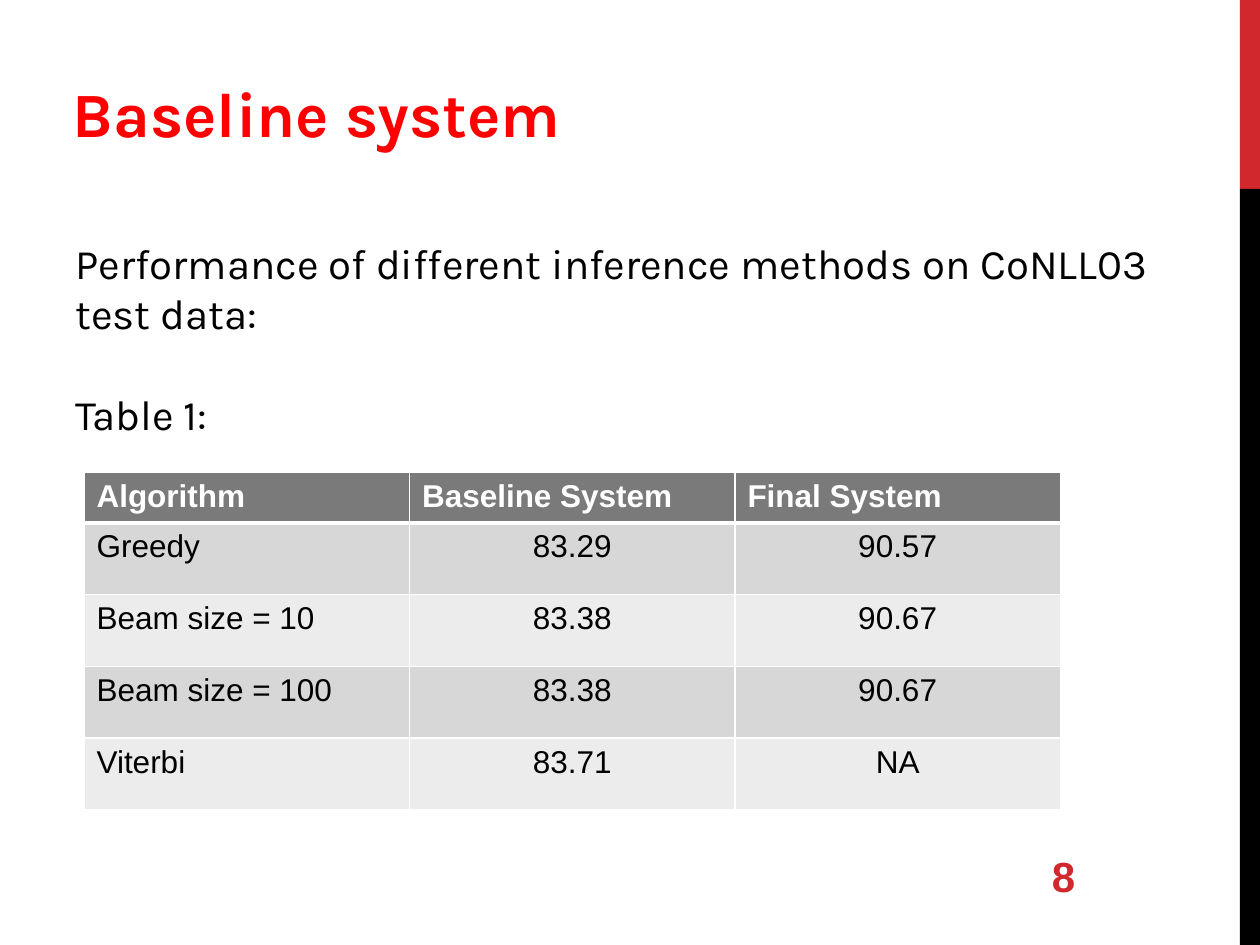
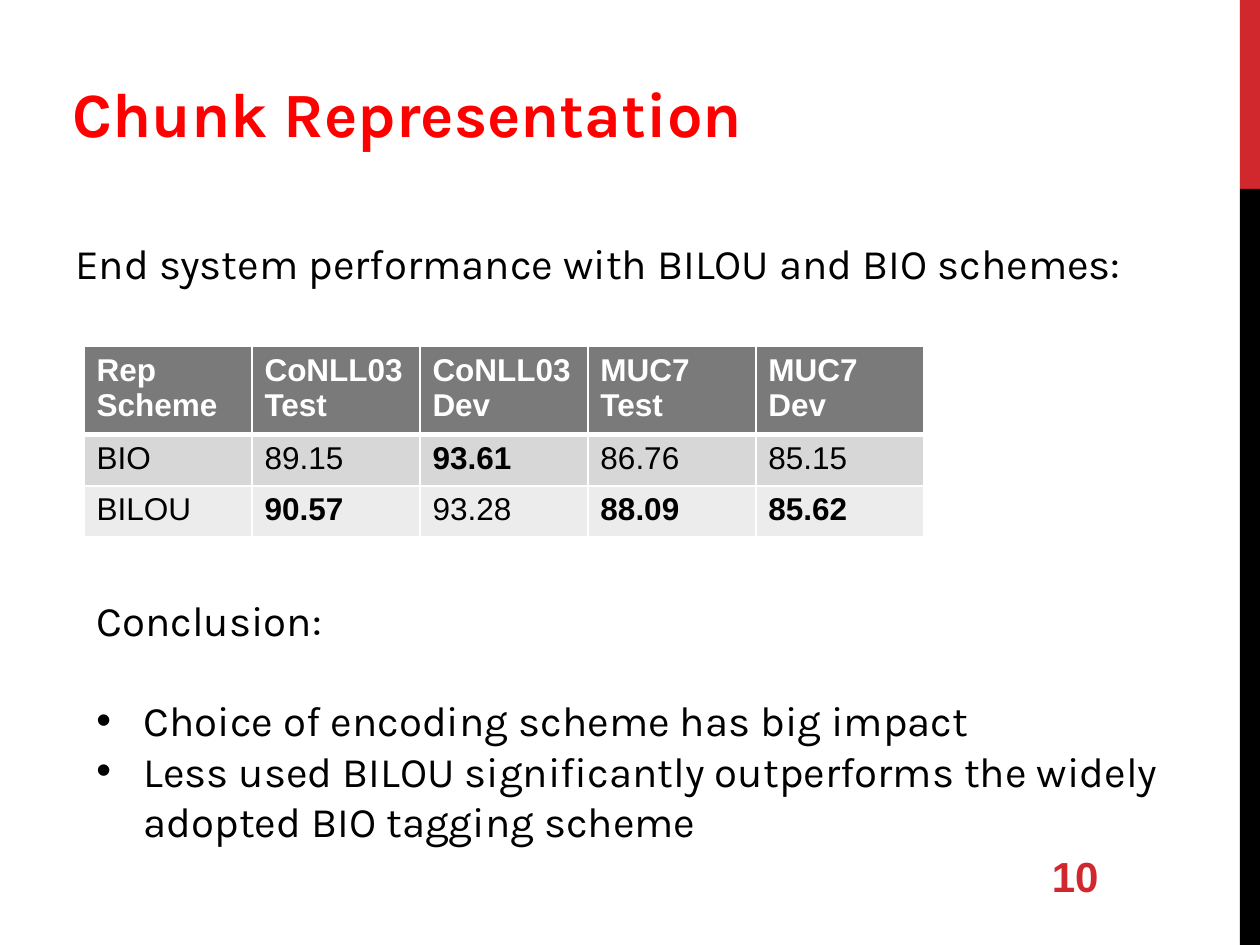
from dataclasses import dataclass
from lxml.etree import SubElement
from pptx import Presentation
from pptx.dml.color import RGBColor
from pptx.enum.shapes import MSO_SHAPE
from pptx.enum.text import MSO_ANCHOR, PP_ALIGN
from pptx.oxml.ns import qn
from pptx.util import Pt

# Content: each text box is (left, top, width, height, lines), and each
# line is (kind, text); "gap" lines stand one line below the previous one
SLIDES = [
    dict(
        title="Baseline system", number="8",
        texts=[(36, 132, 654, 181, [
            ("plain", "Performance of different inference methods on "
                      "CoNLL03 test data:"),
            ("gap", "Table 1:")])],
        table=dict(
            top=270, col=186, head=28, row=41, center=True, best=False,
            cells=[
                ("Algorithm", "Baseline System", "Final System"),
                ("Greedy", "83.29", "90.57"),
                ("Beam size = 10", "83.38", "90.67"),
                ("Beam size = 100", "83.38", "90.67"),
                ("Viterbi", "83.71", "NA")])),
    dict(
        title="Chunk Representation", number="10",
        texts=[
            (36, 132, 654, 36, [
                ("plain",
                 "End system performance with BILOU and BIO schemes:")]),
            (48, 336, 654, 153, [
                ("plain", "Conclusion:"),
                ("gap bullet", "Choice of encoding scheme has big impact"),
                ("bullet", "Less used BILOU significantly outperforms the "
                           "widely adopted BIO tagging scheme")])],
        table=dict(
            top=198, col=96, head=50, row=29.3, center=False, best=True,
            cells=[
                ("Rep Scheme", "CoNLL03 Test", "CoNLL03 Dev",
                 "MUC7 Test", "MUC7 Dev"),
                ("BIO", "89.15", "93.61", "86.76", "85.15"),
                ("BILOU", "90.57", "93.28", "88.09", "85.62")])),
]


@dataclass(frozen=True)
class Theme:
    title: str = "FF0000"
    accent: str = "D1282E"
    ink: str = "000000"
    paper: str = "FFFFFF"
    head: str = "7A7A7A"
    bands: tuple = ("D7D7D7", "ECECEC")
    text_font: str = "Karla"
    data_font: str = "Arial"
    title_size: int = 36
    body_size: int = 24
    cell_size: int = 18
    line: float = 28.6
    indent: int = 27


T = Theme()
WIDE, HIGH = 720, 540
BAND, SPLIT = 11.5, 108
LEFT = 48


def color(code):
    return RGBColor.from_string(code)


def write(para, text, size, font, ink, bold=False):
    run = para.add_run()
    run.text = text
    run.font.size = Pt(size)
    run.font.name = font
    run.font.bold = bold
    run.font.color.rgb = color(ink)


def add_box(slide, *place):
    frame = slide.shapes.add_textbox(*map(Pt, place)).text_frame
    frame.word_wrap = True
    return frame


def add_band(slide, top, height, fill):
    band = slide.shapes.add_shape(
        MSO_SHAPE.RECTANGLE, *map(Pt, (WIDE - BAND, top, BAND, height)))
    band.shadow.inherit = False
    band.fill.solid()
    band.fill.fore_color.rgb = color(fill)
    band.line.fill.background()


def add_bullet(para):
    props = para._p.get_or_add_pPr()
    props.set("marL", str(Pt(T.indent)))
    props.set("indent", str(-Pt(T.indent)))
    SubElement(props, qn("a:buFont"), typeface=T.data_font)
    SubElement(props, qn("a:buChar"), char="•")


def add_lines(slide, *place, lines):
    frame = add_box(slide, *place)
    for i, (kind, text) in enumerate(lines):
        para = frame.add_paragraph() if i else frame.paragraphs[0]
        if "gap" in kind:
            para.space_before = Pt(T.line)
        if "bullet" in kind:
            add_bullet(para)
        write(para, text, T.body_size, T.text_font, T.ink)


def add_edges(cell, row):
    # The rule under the header is thick; all other rules are thin
    props = cell._tc.get_or_add_tcPr()
    thick = {0: "lnB", 1: "lnT"}.get(row)
    for side in ("lnL", "lnR", "lnT", "lnB"):
        width = 3 if side == thick else 1
        edge = SubElement(props, qn("a:" + side), w=str(Pt(width)))
        fill = SubElement(edge, qn("a:solidFill"))
        SubElement(fill, qn("a:srgbClr"), val=T.paper)


def add_grid(slide, top, col, head, row, center, best, cells):
    rows, cols = len(cells), len(cells[0])
    high = head + row * (rows - 1)
    grid = slide.shapes.add_table(
        rows, cols, *map(Pt, (LEFT, top, col * cols, high))).table
    grid.horz_banding = False
    for part in grid.columns:
        part.width = Pt(col)
    for r, values in enumerate(cells):
        grid.rows[r].height = Pt(row if r else head)
        for c, text in enumerate(values):
            cell = grid.cell(r, c)
            add_edges(cell, r)
            cell.fill.solid()
            cell.fill.fore_color.rgb = color(
                T.bands[(r - 1) % 2] if r else T.head)
            para = cell.text_frame.paragraphs[0]
            if center and r and c:
                para.alignment = PP_ALIGN.CENTER
            # Headers are bold, and so is the top score of each column
            top_score = best and c and text == max(
                (line[c] for line in cells[1:]), key=float)
            write(para, text, T.cell_size, T.data_font,
                  T.ink if r else T.paper, bool(r == 0 or top_score))


def add_frame(slide, title, number):
    slide.background.fill.solid()
    slide.background.fill.fore_color.rgb = color(T.paper)
    add_band(slide, 0, SPLIT, T.accent)
    add_band(slide, SPLIT, HIGH - SPLIT, T.ink)
    head = add_box(slide, 34.5, 39, 642, 51)
    write(head.paragraphs[0], title, T.title_size, T.text_font, T.title, True)
    foot = add_box(slide, 594, 486, 104, 29)
    foot.vertical_anchor = MSO_ANCHOR.MIDDLE
    write(foot.paragraphs[0], number, T.body_size, T.data_font,
          T.accent, True)


# Build the slides
deck = Presentation()
deck.slide_width, deck.slide_height = Pt(WIDE), Pt(HIGH)
for page in SLIDES:
    slide = deck.slides.add_slide(deck.slide_layouts[6])
    add_frame(slide, page["title"], page["number"])
    for *place, lines in page["texts"]:
        add_lines(slide, *place, lines=lines)
    add_grid(slide, **page["table"])
deck.save("out.pptx")
